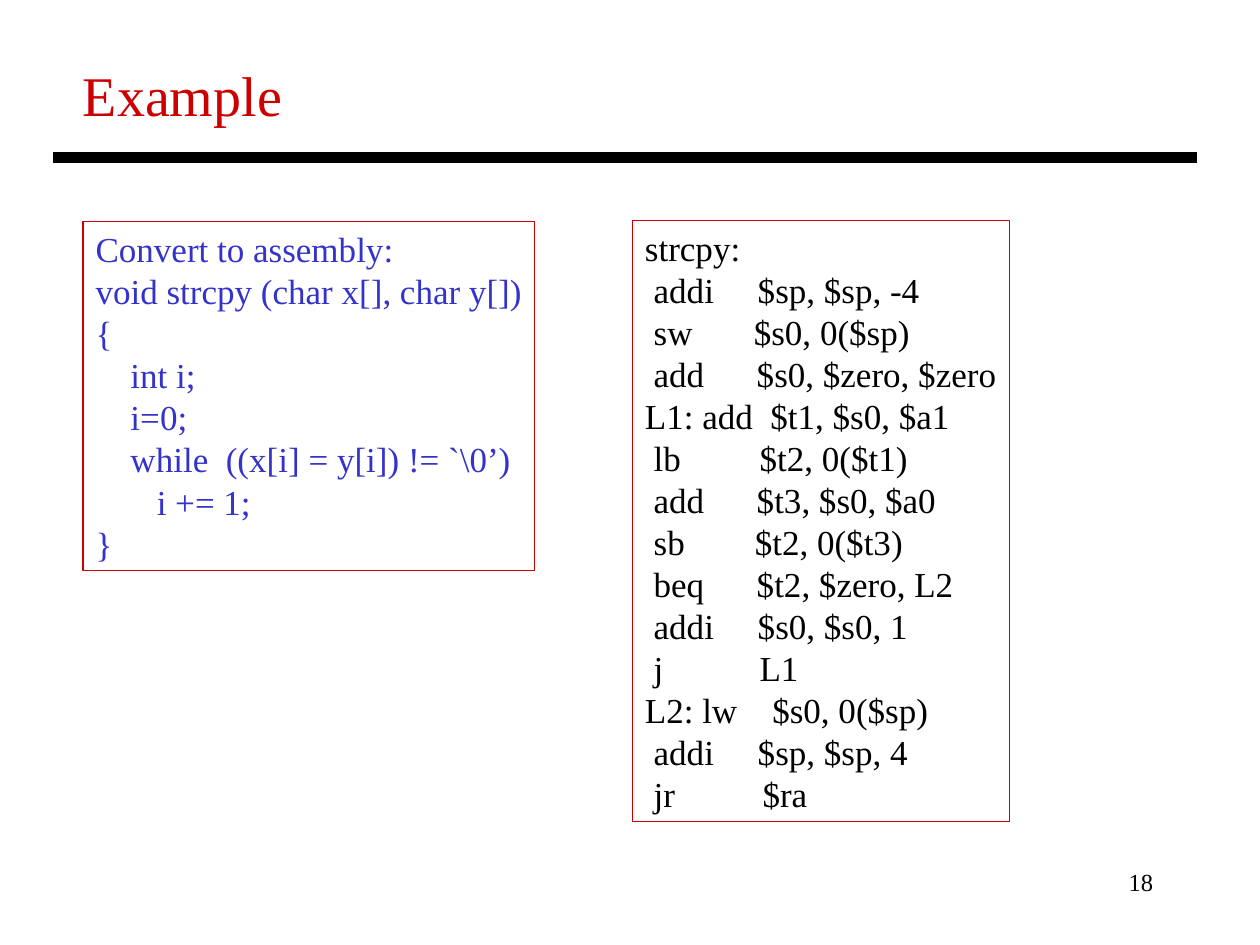
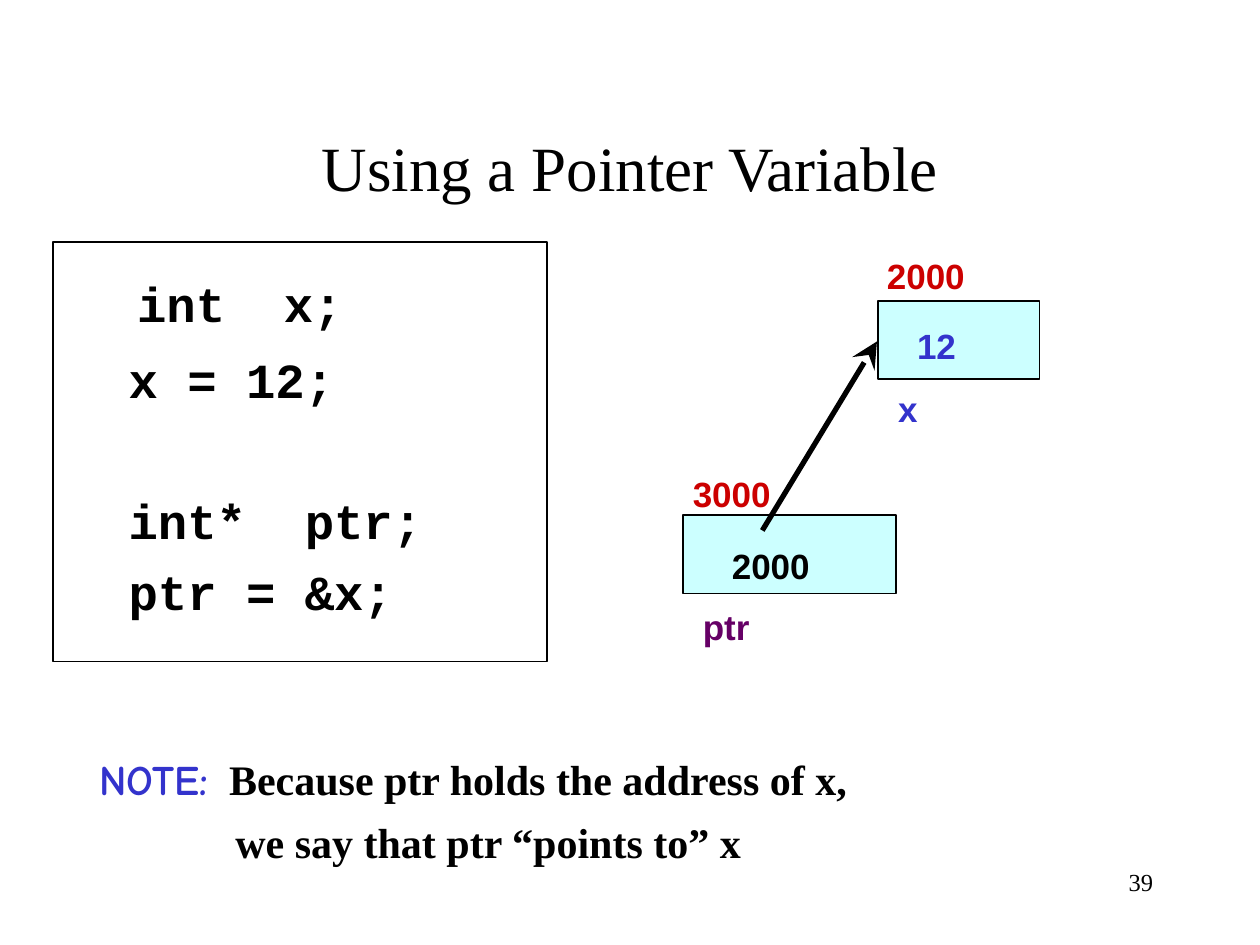
"""Build two lecture slides: a string copy in assembly and a pointer variable."""
import pptx
import pptx.dml.color
import pptx.enum.shapes
import pptx.enum.text
import pptx.util
from lxml import etree
from pptx.oxml.ns import qn

Inches = pptx.util.Inches
Pt = pptx.util.Pt
RGBColor = pptx.dml.color.RGBColor
PP_ALIGN = pptx.enum.text.PP_ALIGN

BLACK = RGBColor(0x00, 0x00, 0x00)
WHITE = RGBColor(0xFF, 0xFF, 0xFF)
RED = RGBColor(0xCC, 0x00, 0x00)
BLUE = RGBColor(0x33, 0x33, 0xCC)
PURPLE = RGBColor(0x66, 0x00, 0x66)
CYAN = RGBColor(0xCC, 0xFF, 0xFF)
SERIF, SANS, MONO, COMIC = "Times New Roman", "Arial", "Courier New", "Comic Neue"

STRCPY_C = r"""Convert to assembly:
void strcpy (char x[], char y[])
{
    int i;
    i=0;
    while  ((x[i] = y[i]) != `\0’)
       i += 1;
}"""

STRCPY_ASSEMBLY = """strcpy:
 addi     $sp, $sp, -4
 sw       $s0, 0($sp)
 add      $s0, $zero, $zero
L1: add  $t1, $s0, $a1
 lb         $t2, 0($t1)
 add      $t3, $s0, $a0
 sb        $t2, 0($t3)
 beq      $t2, $zero, L2
 addi     $s0, $s0, 1
 j           L1
L2: lw    $s0, 0($sp)
 addi     $sp, $sp, 4
 jr          $ra"""


def add_text(slide, place, text, size, font=SERIF, color=BLACK, bold=False,
             align=PP_ALIGN.LEFT):
    """Add a text box with one style and return it."""
    box = slide.shapes.add_textbox(*map(Inches, place))
    box.text_frame.word_wrap = True
    box.text_frame.text = text
    for paragraph in box.text_frame.paragraphs:
        paragraph.alignment = align
        for run in paragraph.runs:
            run.font.name = font
            run.font.size = Pt(size)
            run.font.bold = bold
            run.font.color.rgb = color
    return box


def add_line(slide, start, end, width):
    """Add a black straight line without shadow and return it."""
    line = slide.shapes.add_connector(pptx.enum.shapes.MSO_CONNECTOR.STRAIGHT,
                                      *map(Inches, start + end))
    line.line.color.rgb = BLACK
    line.line.width = Pt(width)
    etree.SubElement(line._element.spPr, qn("a:effectLst"))
    return line


deck = pptx.Presentation()
deck.slide_width, deck.slide_height = Inches(10), Inches(7.5)
blank = deck.slide_layouts[6]
example, pointer = [deck.slides.add_slide(blank) for _ in range(2)]
for slide, number in ((example, "18"), (pointer, "39")):
    add_text(slide, (7.17, 6.83, 2.08, 0.5), number, 14, align=PP_ALIGN.RIGHT)

add_text(example, (0.56, 0.43, 2, 0.64), "Example", 32, color=RED)
add_line(example, (0.42, 1.25), (9.5, 1.25), 6)
for place, code, color in (
    ((0.66, 1.76, 3.58, 2.77), STRCPY_C, BLUE),
    ((5.02, 1.75, 2.99, 4.77), STRCPY_ASSEMBLY, BLACK),
):
    listing = add_text(example, place, code, 20, color=color)
    listing.text_frame.margin_right = 0
    listing.line.color.rgb = RED
    listing.line.width = Pt(0.75)

heading = add_text(pointer, (0.75, 0.42, 8.5, 1.25), "Using a Pointer Variable", 36,
                   align=PP_ALIGN.CENTER)
heading.text_frame.vertical_anchor = pptx.enum.text.MSO_ANCHOR.BOTTOM

for place, fill in (
    ((0.42, 1.92, 3.92, 3.33), WHITE),
    ((6.97, 2.39, 1.28, 0.62), CYAN),
    ((5.42, 4.09, 1.69, 0.62), CYAN),
):
    cell = pointer.shapes.add_shape(pptx.enum.shapes.MSO_SHAPE.RECTANGLE,
                                    *map(Inches, place))
    cell.shadow.inherit = False
    cell.fill.solid()
    cell.fill.fore_color.rgb = fill
    cell.line.color.rgb = BLACK
    cell.line.width = Pt(1)

statements = add_text(pointer, (0.69, 2.01, 3.6, 2.95),
                      " \n x = 12;\n int*  ptr;\n ptr = &x;", 28, MONO, bold=True)
declare_x, assign_x, declare_ptr, assign_ptr = statements.text_frame.paragraphs
declare_x.runs[0].font.size = Pt(36)
declaration = declare_x.add_run()
declaration.text = "int  x;"
declaration.font.name = MONO
declaration.font.size = Pt(28)
declaration.font.bold = True
declaration.font.color.rgb = BLACK
for statement, gap in ((assign_x, 8), (declare_ptr, 47), (assign_ptr, 7)):
    statement.space_before = Pt(gap)

points_to = add_line(pointer, (6.05, 4.21), (6.96, 2.71), 3)
etree.SubElement(points_to.line._get_or_add_ln(), qn("a:tailEnd"),
                 type="stealth", w="lg", len="lg")

for left, top, label, color in (
    (6.94, 1.97, "2000", RED),
    (7.18, 2.53, "12", BLUE),
    (7.03, 3.03, "x", BLUE),
    (5.4, 3.7, "3000", RED),
    (5.71, 4.27, "2000", BLACK),
    (5.48, 4.76, "ptr", PURPLE),
):
    add_text(pointer, (left, top, 1, 0.42), label, 20, SANS, color, bold=True)

note = add_text(pointer, (0.69, 5.93, 7, 0.98), "NOTE:\nwe say that ptr “points to” x",
                24, bold=True)
reason, conclusion = note.text_frame.paragraphs
reason.runs[0].font.name = COMIC
reason.runs[0].font.color.rgb = BLUE
tab_stops = etree.SubElement(reason._p.get_or_add_pPr(), qn("a:tabLst"))
etree.SubElement(tab_stops, qn("a:tab"), pos=str(Inches(1.03)), algn="l")
because = reason.add_run()
because.text = "\tBecause ptr holds the address of x,"
because.font.name = SERIF
because.font.size = Pt(24)
because.font.bold = True
because.font.color.rgb = BLACK
conclusion.space_before = Pt(7)
conclusion._p.get_or_add_pPr().set("marL", str(Inches(1.08)))

deck.save("out.pptx")
